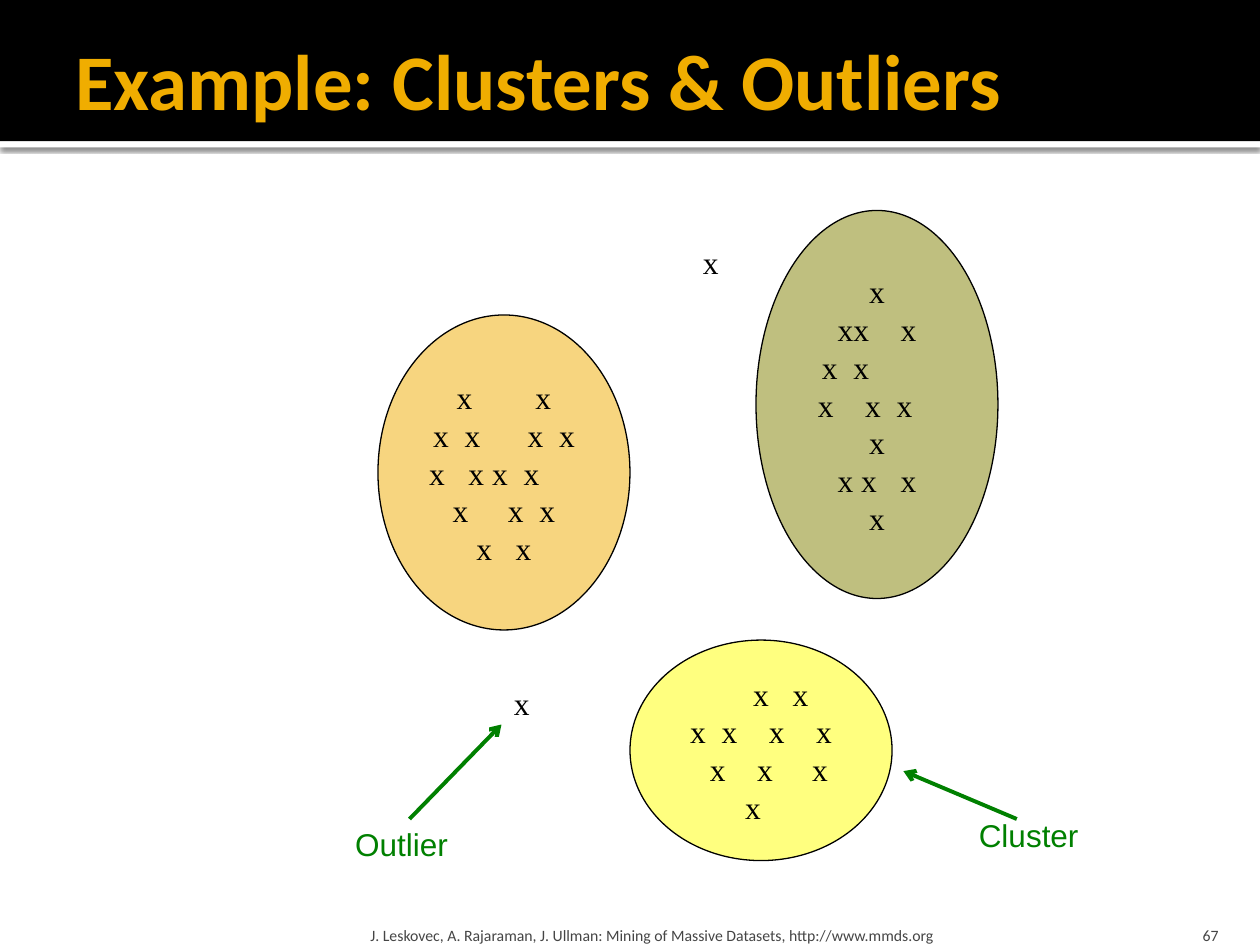
from math import sqrt

from lxml.etree import SubElement
from pptx import Presentation
from pptx.dml.color import RGBColor
from pptx.enum.shapes import MSO_CONNECTOR, MSO_SHAPE
from pptx.enum.text import MSO_ANCHOR, PP_ALIGN
from pptx.oxml.ns import qn
from pptx.util import Inches, Pt

COLORS = {
    "black": "000000", "white": "FFFFFF", "title": "F0AD00", "footer": "454545",
    "orange": "F0AD00", "olive": "808000", "yellow": "FFFF00", "green": "008000",
}
SPACE = 1 / 16  # width of one space in inches; an x is two spaces wide


def set_font(paragraph, font_name, size, color, bold=False):
    font = paragraph.font
    font.name, font.size, font.bold = font_name, Pt(size), bold
    font.color.rgb = RGBColor.from_string(COLORS[color])


def add_text(text, left, top, width, height, font_name, size, color,
             align=PP_ALIGN.LEFT, anchor=MSO_ANCHOR.TOP, side=0.1, bottom=0.05, wrap=False):
    box = slide.shapes.add_textbox(Inches(left), Inches(top), Inches(width), Inches(height))
    frame = box.text_frame
    frame.word_wrap, frame.vertical_anchor = wrap, anchor
    frame.margin_left = frame.margin_right = Inches(side)
    frame.margin_bottom = Inches(bottom)
    paragraph = frame.paragraphs[0]
    paragraph.text, paragraph.alignment = text, align
    set_font(paragraph, font_name, size, color)


presentation = Presentation()
presentation.slide_width, presentation.slide_height = Inches(10), Inches(7.5)
slide = presentation.slides.add_slide(presentation.slide_layouts[5])
title = slide.shapes.title

# Header bars, placed behind the title
for color, top, height in [("white", 1.12, 0.05), ("black", 0, 1.12)]:
    bar = slide.shapes.add_shape(MSO_SHAPE.RECTANGLE, 0, Inches(top), Inches(10), Inches(height))
    bar.shadow.inherit = False
    bar.fill.solid()
    bar.fill.fore_color.rgb = RGBColor.from_string(COLORS[color])
    bar.line.fill.background()
    title._element.addprevious(bar._element)
    if color == "white":
        effects = bar._element.spPr.find(qn("a:effectLst"))
        shadow = SubElement(effects, qn("a:outerShdw"), blurRad=str(Pt(2.5)),
                            dist=str(Pt(0.8)), dir="5400000", algn="tl", rotWithShape="0")
        shadow_color = SubElement(shadow, qn("a:srgbClr"), val=COLORS["black"])
        SubElement(shadow_color, qn("a:alpha"), val="60000")

# Title
title.left, title.top, title.width, title.height = map(Inches, (0.5, 0.17, 9, 0.92))
frame = title.text_frame
frame.text = "Example: Clusters & Outliers"
frame.vertical_anchor = MSO_ANCHOR.MIDDLE
frame.margin_left = Inches(0.1)
frame.margin_right = frame.margin_top = frame.margin_bottom = Inches(0.05)
frame.paragraphs[0].alignment = PP_ALIGN.LEFT
set_font(frame.paragraphs[0], "Calibri", 45, "title", bold=True)

# Clusters: each row lists the left edges of its points, in spaces from the centre
clusters = [
    ("orange", 3, 2.5, 2, 2.5,
     [[-6, 4], [-9, -5, 3, 7], [-9.5, -4.5, -1.5, 2.5], [-6.5, 0.5, 4.5], [-3.5, 1.5]]),
    ("olive", 6, 1.67, 1.92, 3.08,
     [[-1], [-5, -3, 3], [-7, -3], [-7.5, -1.5, 2.5], [-1], [-5, -2, 3], [-1]]),
    ("yellow", 5, 5.08, 2.08, 1.75,
     [[-1, 4], [-9, -5, 1, 7], [-6.5, -0.5, 6.5], [-2]]),
]
for color, left, top, width, height, rows in clusters:
    cluster = slide.shapes.add_shape(MSO_SHAPE.OVAL, Inches(left), Inches(top),
                                     Inches(width), Inches(height))
    cluster.shadow.inherit = False
    cluster.fill.solid()
    cluster.fill.fore_color.rgb = RGBColor.from_string(COLORS[color])
    fill_color = cluster._element.spPr.find(qn("a:solidFill")).find(qn("a:srgbClr"))
    SubElement(fill_color, qn("a:alpha"), val="50000")
    cluster.line.color.rgb = RGBColor.from_string(COLORS["black"])
    cluster.line.width = Pt(0.75)
    frame = cluster.text_frame
    frame.word_wrap, frame.vertical_anchor = True, MSO_ANCHOR.MIDDLE
    frame.margin_left = frame.margin_right = 0
    text_center = width / sqrt(8)  # half the width of the oval's text area
    for index, row in enumerate(rows):
        paragraph = frame.paragraphs[0] if index == 0 else frame.add_paragraph()
        paragraph.alignment, paragraph.line_spacing = PP_ALIGN.LEFT, Pt(21.6)
        tab_list = SubElement(paragraph._p.get_or_add_pPr(), qn("a:tabLst"))
        text, row_end = "", None
        for point in row:
            gap = None if row_end is None else point - row_end
            if gap == 1:
                text += " "
            elif gap != 0:  # touching points need no tab
                text += "\t"
                position = Inches(text_center + point * SPACE)
                SubElement(tab_list, qn("a:tab"), pos=str(position), algn="l")
            text += "x"
            row_end = point + 2
        paragraph.text = text
        set_font(paragraph, "Times New Roman", 18, "black")

# Outlying points
for left, top in [(5.48, 1.88), (3.98, 5.38)]:
    add_text("x", left, top, 0.37, 0.5, "Times New Roman", 18, "black")

# Labels with arrows
for text, left, top, width, start, end in [
    ("Outlier", 2.72, 6.5, 0.95, (3.25, 6.5), (3.98, 5.75)),
    ("Cluster", 7.67, 6.43, 1, (8.07, 6.5), (7.17, 6.12)),
]:
    arrow = slide.shapes.add_connector(MSO_CONNECTOR.STRAIGHT, *map(Inches, start + end))
    arrow.line.color.rgb = RGBColor.from_string(COLORS["green"])
    arrow.line.width = Pt(2.25)
    SubElement(arrow.line._get_or_add_ln(), qn("a:tailEnd"), type="arrow")
    SubElement(arrow._element.spPr, qn("a:effectLst"))
    add_text(text, left, top, width, 0.4, "Arial", 18, "green")

# Footer and slide number
add_text("J. Leskovec, A. Rajaraman, J. Ullman: Mining of Massive Datasets, http://www.mmds.org",
         2.89, 7.2, 6.02, 0.3, "Calibri", 9, "footer",
         anchor=MSO_ANCHOR.BOTTOM, side=0.05, bottom=0, wrap=True)
add_text("67", 8.97, 7.2, 0.8, 0.3, "Calibri", 9, "footer",
         align=PP_ALIGN.RIGHT, anchor=MSO_ANCHOR.BOTTOM, bottom=0, wrap=True)

presentation.save("out.pptx")
